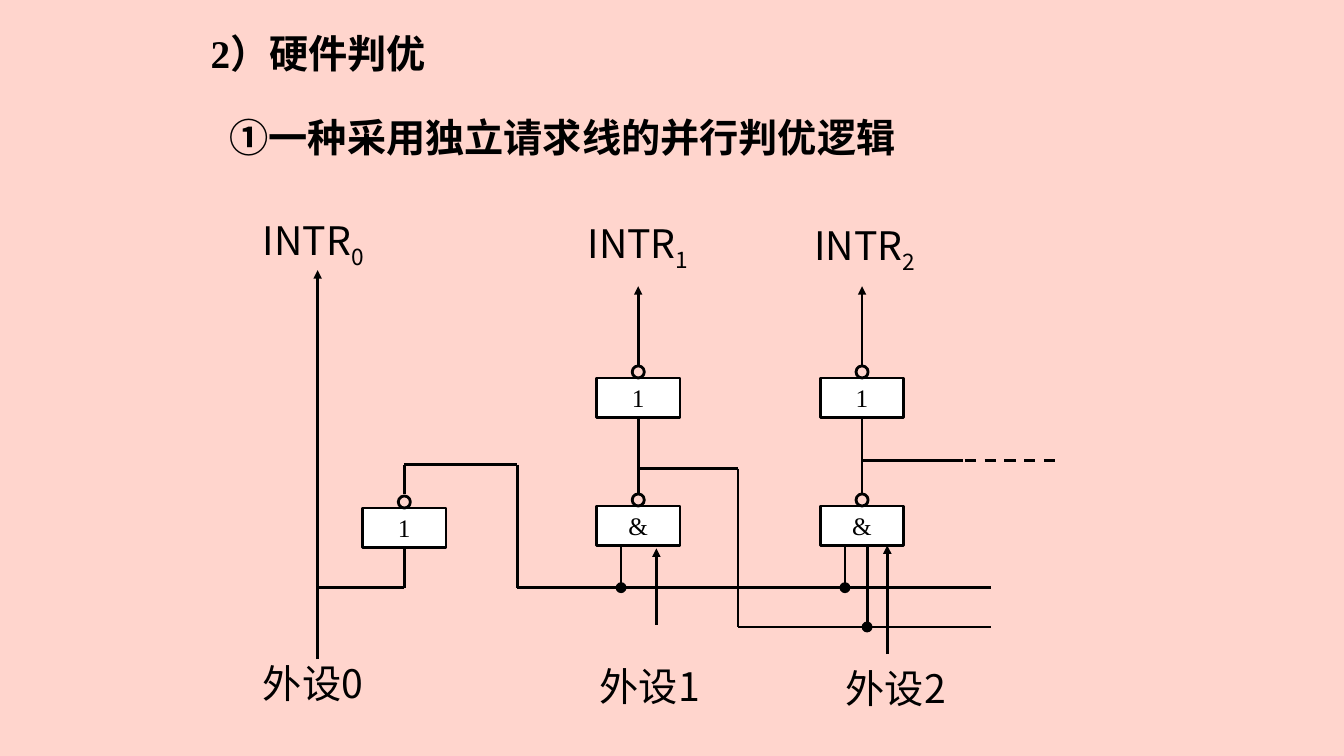
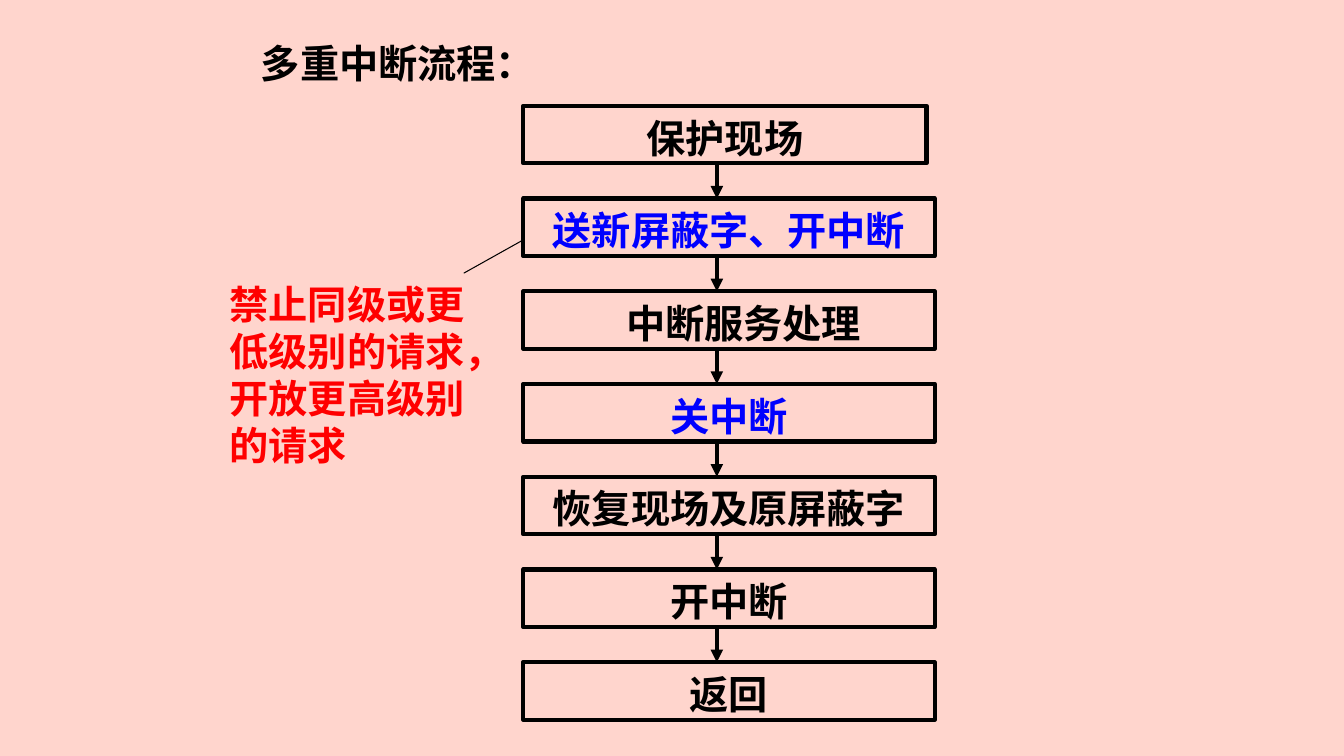
import pptx
import pptx.util
import pptx.dml.color
import pptx.enum.dml
import pptx.enum.shapes
import pptx.enum.text
import pptx.oxml.ns
from dataclasses import dataclass
from typing import Any, NamedTuple
from lxml import etree

Inches = pptx.util.Inches
Pt = pptx.util.Pt
RGB = pptx.dml.color.RGBColor.from_string
Kind = pptx.enum.shapes.MSO_SHAPE
Align = pptx.enum.text.PP_ALIGN
Anchor = pptx.enum.text.MSO_ANCHOR
qn = pptx.oxml.ns.qn


@dataclass(frozen=True)
class Theme:
    back: str = "FFD5CD"
    ink: str = "000000"
    paper: str = "FFFFFF"
    blue: str = "0000FF"
    red: str = "FF0000"
    serif: str = "Times New Roman"
    sans: str = "Noto Sans CJK SC"
    body: float = 28
    small: float = 18
    pitch: float = 33.6
    thin: float = 0.75
    wire: float = 2
    thick: float = 3


class Point(NamedTuple):
    x: float
    y: float


class Label(NamedTuple):
    text: str
    x: float
    y: float
    sub: str = ""


class Step(NamedTuple):
    text: str
    color: str
    width: float = 4.08
    indent: float = 0


THEME = Theme()


# Shared helpers
def write(shape: Any, text: str, *, size: float = THEME.body, font: str = THEME.serif,
          color: str = THEME.ink, bold: bool = False, sub: str = "",
          align: Any = Align.LEFT, anchor: Any = Anchor.TOP, wrap: bool = True,
          pitch: float | None = THEME.pitch, indent: float = 0) -> None:
    frame = shape.text_frame
    frame.word_wrap = wrap
    frame.vertical_anchor = anchor
    if pitch:
        frame.margin_top = Inches(0.08)
    para = frame.paragraphs[0]
    para.alignment = align
    if pitch:
        para.line_spacing = Pt(pitch)
    if indent:
        para._p.get_or_add_pPr().set("marL", str(Inches(indent)))
    for part, base in ((text, 0), (sub, -25000)):
        if not part:
            continue
        run = para.add_run()
        run.text = part
        run.font.size = Pt(size)
        run.font.name = font
        run.font.bold = bold
        run.font.color.rgb = RGB(color)
        props = run._r.get_or_add_rPr()
        etree.SubElement(props, qn("a:ea")).set("typeface", THEME.sans)
        if base:
            props.set("baseline", str(base))


def note(slide: Any, text: str, x: float, y: float, w: float, h: float = 0.57,
         **form: Any) -> None:
    box = slide.shapes.add_textbox(Inches(x), Inches(y), Inches(w), Inches(h))
    write(box, text, **form)


def head(slide: Any, text: str, x: float, y: float, w: float) -> None:
    note(slide, text, x, y, w, bold=True)


def block(slide: Any, kind: Any, x: float, y: float, w: float, h: float,
          fill: str = "", width: float = THEME.wire) -> Any:
    shape = slide.shapes.add_shape(kind, Inches(x), Inches(y), Inches(w), Inches(h))
    shape.shadow.inherit = False
    if fill:
        shape.fill.solid()
        shape.fill.fore_color.rgb = RGB(fill)
    else:
        shape.fill.background()
    shape.line.color.rgb = RGB(THEME.ink)
    shape.line.width = Pt(width)
    return shape


def wire(slide: Any, *points: tuple[float, float], width: float = THEME.wire,
         arrow: bool = False, dash: bool = False, start: Any = None) -> None:
    """Draw a run of straight lines; start is a box left from its bottom."""
    last = len(points) - 2
    for i, (a, b) in enumerate(zip(points, points[1:])):
        line = slide.shapes.add_connector(
            pptx.enum.shapes.MSO_CONNECTOR.STRAIGHT,
            Inches(a[0]), Inches(a[1]), Inches(b[0]), Inches(b[1]))
        if start is not None and i == 0:
            line.begin_connect(start, 2)
        line.line.color.rgb = RGB(THEME.ink)
        line.line.width = Pt(width)
        if dash:
            line.line.dash_style = pptx.enum.dml.MSO_LINE.DASH
        if arrow and i == last:
            tip = etree.SubElement(line.line._get_or_add_ln(), qn("a:tailEnd"))
            tip.set("type", "triangle")
        etree.SubElement(line._element.spPr, qn("a:effectLst"))


def sheet(deck: Any) -> Any:
    slide = deck.slides.add_slide(deck.slide_layouts[6])
    slide.background.fill.solid()
    slide.background.fill.fore_color.rgb = RGB(THEME.back)
    return slide


# Slide 1: parallel priority logic
GATE = Point(0.83, 0.39)
BALL = 0.12
DOT = 0.08


def gate(slide: Any, mark: str, mid: float, top: float) -> Any:
    box = block(slide, Kind.RECTANGLE, mid - GATE.x / 2, top, GATE.x, GATE.y, THEME.paper)
    write(box, mark, size=THEME.small, align=Align.CENTER, anchor=Anchor.MIDDLE,
          wrap=False, pitch=None)
    block(slide, Kind.OVAL, mid - BALL / 2, top - BALL, BALL, BALL)
    return box


def logic(deck: Any) -> None:
    slide = sheet(deck)
    head(slide, "2）硬件判优", 1.99, 0.21, 3.75)
    head(slide, "①一种采用独立请求线的并行判优逻辑", 2.18, 1.04, 8.92)

    # Request lines and gates
    main, bus, low = 3.15, 5.83, 6.22
    zero, one, two = 4.01, 6.33, 8.55
    upper, lower, end = 3.75, 5.02, 9.83
    wire(slide, (main, 6.54), (main, 2.68), arrow=True)
    first = gate(slide, "1", zero, 5.04)
    wire(slide, (zero, 5.43), (zero, bus), (main, bus), start=first)
    wire(slide, (zero, 4.9), (zero, 4.61), (5.13, 4.61), (5.13, bus), (end, bus))
    for mid in (one, two):
        top = gate(slide, "1", mid, upper)
        gate(slide, "&", mid, lower)
        wire(slide, (mid, upper + GATE.y), (mid, lower - BALL), start=top)
        wire(slide, (mid, upper - BALL), (mid, 2.84), arrow=True)
        wire(slide, (mid - 0.17, lower + GATE.y), (mid - 0.17, bus))

    # Links between stages
    wire(slide, (one, 4.65), (7.32, 4.65), (7.32, low), (end, low))
    wire(slide, (6.51, 6.2), (6.51, 5.44), arrow=True)
    wire(slide, (8.6, 5.43), (8.6, low))
    wire(slide, (8.8, 6.49), (8.8, 5.41), arrow=True)
    wire(slide, (two, 4.57), (9.55, 4.57))
    wire(slide, (9.57, 4.57), (10.47, 4.57), dash=True)
    for x, y in ((one - 0.17, bus), (two - 0.17, bus), (8.6, low)):
        block(slide, Kind.FLOWCHART_CONNECTOR, x - DOT / 2, y - DOT / 2, DOT, DOT, THEME.ink)

    # Labels
    for label in (Label("外设0", 2.51, 6.46), Label("外设1", 5.85, 6.49),
                  Label("外设2", 8.29, 6.51), Label("INTR", 2.51, 2.13, "0"),
                  Label("INTR", 5.73, 2.16, "1"), Label("INTR", 7.98, 2.18, "2")):
        note(slide, label.text, label.x, label.y, 1.33, font=THEME.sans, sub=label.sub)


# Slide 2: nested interrupt flow
STEPS = (
    Step("保护现场", THEME.ink, width=4),
    Step("送新屏蔽字、开中断", THEME.blue),
    Step("中断服务处理", THEME.ink, indent=0.29),
    Step("关中断", THEME.blue),
    Step("恢复现场及原屏蔽字", THEME.ink),
    Step("开中断", THEME.ink),
    Step("返回", THEME.ink),
)


def flow(deck: Any) -> None:
    slide = sheet(deck)
    head(slide, "多重中断流程：", 2.49, 0.31, 3.62)
    note(slide, "禁止同级或更低级别的请求，开放更高级别的请求", 2.18, 2.7, 2.83, 1.93,
         color=THEME.red, bold=True)
    left, first, gap, tall, axis = 5.19, 1.05, 0.92, 0.57, 7.11
    for i, step in enumerate(STEPS):
        top = first + i * gap
        box = block(slide, Kind.RECTANGLE, left, top, step.width, tall, width=THEME.thick)
        write(box, step.text, color=step.color, bold=True, align=Align.CENTER,
              indent=step.indent)
        if i:
            wire(slide, (axis, top - gap + tall), (axis, top), width=THEME.thick, arrow=True)
    wire(slide, (4.6, 2.71), (left, 2.38), width=THEME.thin)


def main() -> None:
    deck = pptx.Presentation()
    deck.slide_width, deck.slide_height = Inches(13.33), Inches(7.5)
    logic(deck)
    flow(deck)
    deck.save("out.pptx")


if __name__ == "__main__":
    main()
